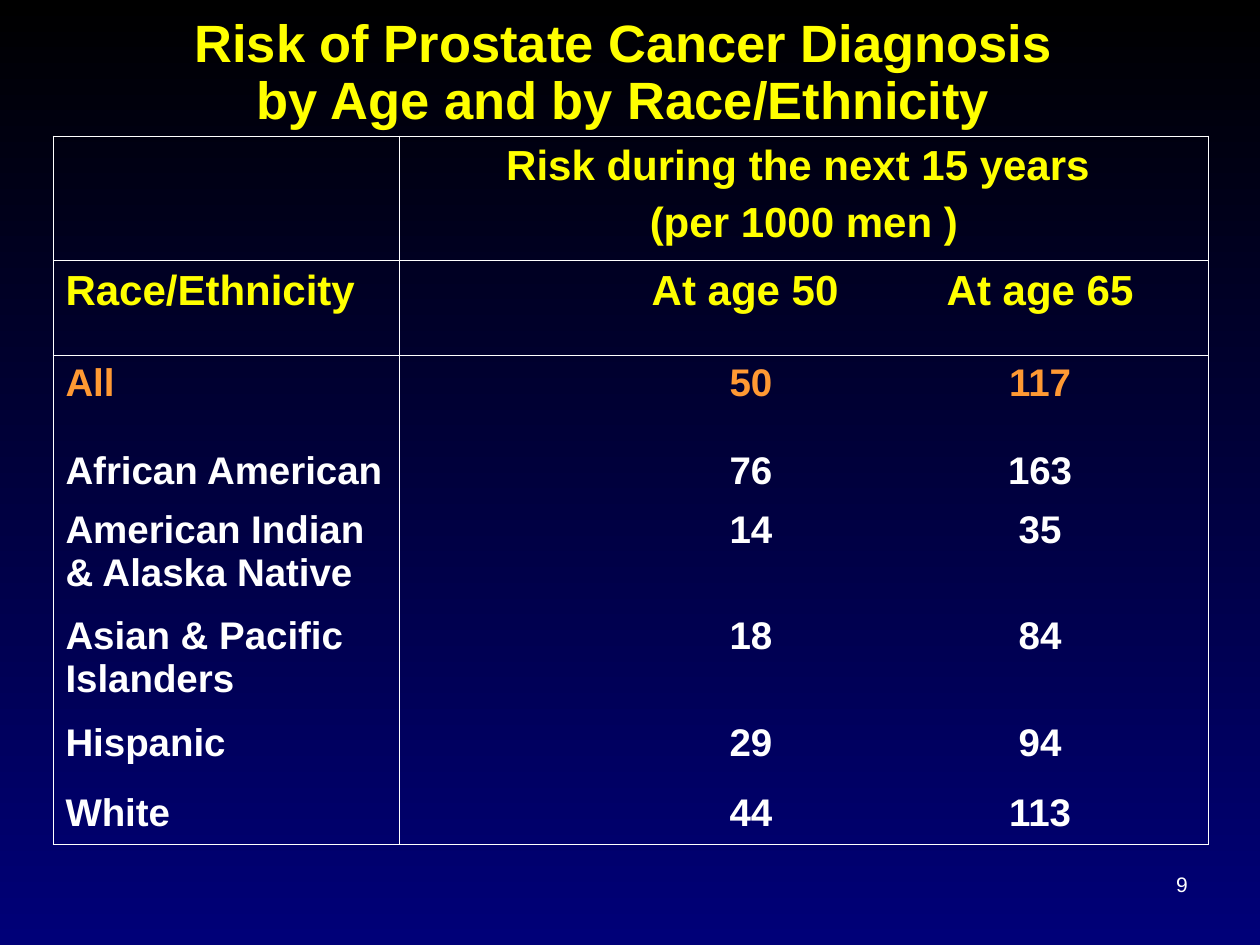
from lxml import etree
from pptx import Presentation
from pptx.dml.color import RGBColor
from pptx.enum.text import MSO_ANCHOR, PP_ALIGN
from pptx.oxml.ns import qn
from pptx.util import Inches, Pt

LEFT, CENTER = PP_ALIGN.LEFT, PP_ALIGN.CENTER
MIDDLE, TOP = MSO_ANCHOR.MIDDLE, MSO_ANCHOR.TOP

FONT = "Arial"
YELLOW, ORANGE, WHITE = "FFFF00", "FF9933", "FFFFFF"
BLACK, NAVY = "000000", "000078"
BORDER_WIDTH = Pt(0.45)

COLUMN_WIDTHS = [2.75, 1.83, 1.92, 2.67]
ROW_HEIGHTS = [0.99, 0.75, 0.7, 0.47, 0.84, 0.85, 0.55, 0.47]
HEADER_ROWS = 2
ROWS = [
    ["", "Risk during the next 15 years \n(per 1000 men )", "", ""],
    ["Race/Ethnicity", "", "At age 50 ", "At age 65"],
    ["All", "", "50", "117"],
    ["African American", "", "76", "163"],
    ["American Indian & Alaska Native", "", "14", "35"],
    ["Asian & Pacific Islanders", "", "18", "84"],
    ["Hispanic", "", "29", "94"],
    ["White", "", "44", "113"],
]


def color(hex_string):
    return RGBColor.from_string(hex_string)


def set_background(slide):
    fill = slide.background.fill
    fill.gradient()
    fill.gradient_angle = 270
    for stop, position, hex_string in zip(fill.gradient_stops, (0, 1), (BLACK, NAVY)):
        stop.position = position
        stop.color.rgb = color(hex_string)


def write_text(text_frame, text, size, hex_string, alignment, bold=True):
    text_frame.text = text
    for index, paragraph in enumerate(text_frame.paragraphs):
        paragraph.alignment = alignment
        if index:
            paragraph.space_before = Pt(6)
        for run in paragraph.runs:
            run.font.name = FONT
            run.font.size = Pt(size)
            run.font.bold = bold
            run.font.color.rgb = color(hex_string)


def add_text(slide, box, text, size, hex_string, anchor=TOP, bold=True):
    """Add a centred text box; box is left, top, width, height in inches."""
    shape = slide.shapes.add_textbox(*(Inches(length) for length in box))
    text_frame = shape.text_frame
    text_frame.word_wrap = True
    text_frame.vertical_anchor = anchor
    write_text(text_frame, text, size, hex_string, CENTER, bold)
    return text_frame


def set_borders(cell, visible):
    """Draw the sides whose flag in visible is true and hide the others."""
    properties = cell._tc.get_or_add_tcPr()
    for side, shown in visible.items():
        line = etree.SubElement(properties, qn(f"a:{side}"), w=str(BORDER_WIDTH))
        if shown:
            fill = etree.SubElement(line, qn("a:solidFill"))
            etree.SubElement(fill, qn("a:srgbClr"), val=WHITE)
        else:
            etree.SubElement(line, qn("a:noFill"))


def text_style(row):
    """Return the size and colour of the text in a row."""
    if row < HEADER_ROWS:
        return 24, YELLOW
    return 22, ORANGE if row == HEADER_ROWS else WHITE


def add_risk_table(slide):
    last_row, last_column = len(ROWS) - 1, len(COLUMN_WIDTHS) - 1
    table = slide.shapes.add_table(
        len(ROWS), len(COLUMN_WIDTHS), Inches(0.42), Inches(1.08),
        Inches(sum(COLUMN_WIDTHS)), Inches(sum(ROW_HEIGHTS))).table
    table.first_row = False
    table.horz_banding = False
    for column, width in zip(table.columns, COLUMN_WIDTHS):
        column.width = Inches(width)
    for row, height in zip(table.rows, ROW_HEIGHTS):
        row.height = Inches(height)
    table.cell(0, 1).merge(table.cell(0, last_column))

    for row, texts in enumerate(ROWS):
        for column, text in enumerate(texts):
            cell = table.cell(row, column)
            set_borders(cell, {
                "lnL": column <= 1,
                "lnR": column in (0, last_column) or cell.is_merge_origin,
                "lnT": row <= HEADER_ROWS,
                "lnB": row < HEADER_ROWS or row == last_row,
            })
            cell.fill.background()
            if text:
                write_text(cell.text_frame, text, *text_style(row),
                           CENTER if column else LEFT)


def main():
    presentation = Presentation()
    presentation.slide_width = Inches(10)
    presentation.slide_height = Inches(7.5)
    slide = presentation.slides.add_slide(presentation.slide_layouts[6])
    set_background(slide)
    add_text(slide, (9.17, 6.87, 0.42, 0.3), "9", 12, WHITE, bold=False)
    title = add_text(slide, (0.42, -0.08, 9.17, 1.33),
                     "Risk of Prostate Cancer Diagnosis \vby Age and by Race/Ethnicity ",
                     30, YELLOW, MIDDLE)
    title.paragraphs[0].line_spacing = 0.9
    add_risk_table(slide)
    presentation.save("out.pptx")


if __name__ == "__main__":
    main()
